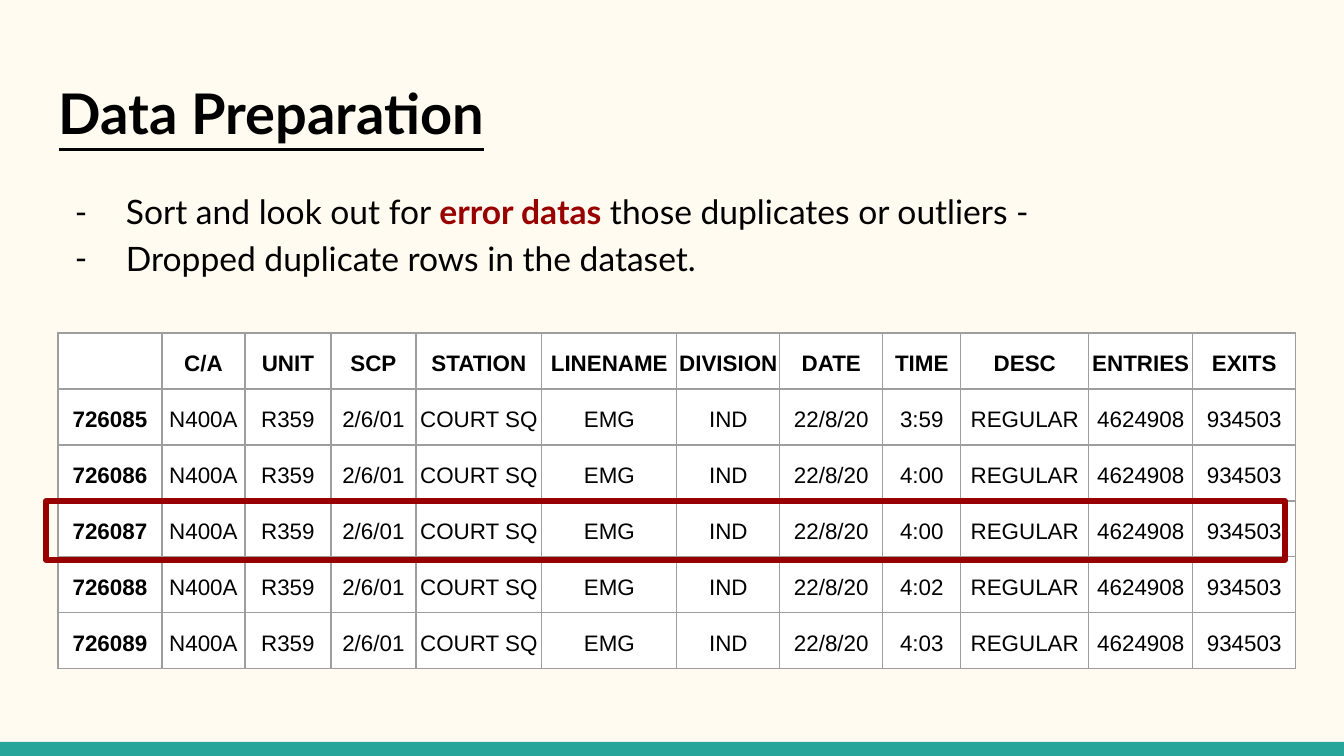
from lxml import etree
from pptx import Presentation
from pptx.dml.color import RGBColor
from pptx.enum.shapes import MSO_SHAPE
from pptx.enum.text import MSO_ANCHOR, PP_ALIGN
from pptx.oxml.ns import qn
from pptx.util import Emu, Pt

RECT = MSO_SHAPE.RECTANGLE
LOW = MSO_ANCHOR.BOTTOM
MID = PP_ALIGN.CENTER

RED = "980000"
BLACK = "000000"
WIDTHS = [104, 83, 86, 85, 126, 135, 103, 103, 78, 128, 104, 103]
ROW = 56
HEAD = ["", "C/A", "UNIT", "SCP", "STATION", "LINENAME", "DIVISION",
        "DATE", "TIME", "DESC", "ENTRIES", "EXITS"]
TIMES = {"726085": "3:59", "726086": "4:00", "726087": "4:00",
         "726088": "4:02", "726089": "4:03"}
MARKED = "726087"


def px(n):
    """Turn px at 134.4 to the inch into EMU."""
    return Emu(round(n * 914400 / 134.4))


def color(code):
    return RGBColor.from_string(code)


def paint(fill, code):
    fill.solid()
    fill.fore_color.rgb = color(code)


def add_run(para, text, code=BLACK, **look):
    run = para.add_run()
    run.text = text
    for name, value in look.items():
        setattr(run.font, name, value)
    run.font.color.rgb = color(code)


def add_text(slide, box):
    frame = slide.shapes.add_textbox(*map(px, box)).text_frame
    frame.word_wrap = True
    for side in ("left", "top", "right", "bottom"):
        setattr(frame, "margin_" + side, px(13))
    return frame


def add_rect(slide, box):
    shape = slide.shapes.add_shape(RECT, *map(px, box))
    shape.shadow.inherit = False
    return shape


def add_band(slide, box):
    band = add_rect(slide, box)
    paint(band.fill, "26A69A")
    band.line.fill.background()


def add_title(slide, box):
    para = add_text(slide, box).paragraphs[0]
    add_run(para, "Data Preparation", name="Lato", size=Pt(30),
            bold=True, underline=True)


def add_list(slide, box):
    frame = add_text(slide, box)
    items = [
        [("Sort and look out for ", BLACK, False),
         ("error datas", RED, True),
         (" those duplicates or outliers -", BLACK, False)],
        [("Dropped duplicate rows in the dataset.", BLACK, False)],
    ]
    for i, item in enumerate(items):
        para = frame.add_paragraph() if i else frame.paragraphs[0]
        para.line_spacing = 1.15
        props = para._p.get_or_add_pPr()
        props.set("marL", str(px(67)))
        props.set("indent", str(px(-51)))
        tint = etree.SubElement(props, qn("a:buClr"))
        etree.SubElement(tint, qn("a:srgbClr"), val=BLACK)
        etree.SubElement(props, qn("a:buFont"), typeface="Lato")
        etree.SubElement(props, qn("a:buChar"), char="-")
        for text, code, bold in item:
            add_run(para, text, code, name="Lato", size=Pt(18), bold=bold)


def set_edges(cell):
    """Draw a thin grey line on all four sides, ahead of the cell's fill."""
    props = cell._tc.get_or_add_tcPr()
    for i, side in enumerate(("lnL", "lnR", "lnT", "lnB")):
        edge = etree.Element(qn("a:" + side), w=str(Pt(0.75)))
        fill = etree.SubElement(edge, qn("a:solidFill"))
        etree.SubElement(fill, qn("a:srgbClr"), val="9E9E9E")
        props.insert(i, edge)


def fill_cell(cell, text, bold):
    look = {"margin_left": px(1), "margin_top": px(1), "margin_right": px(1),
            "margin_bottom": px(13), "vertical_anchor": LOW}
    for name, value in look.items():
        setattr(cell, name, value)
    paint(cell.fill, "FFFFFF")
    set_edges(cell)
    para = cell.text_frame.paragraphs[0]
    para.alignment = MID
    if text[:1].isdigit():
        para.line_spacing = 1.15
    if text:
        add_run(para, text, name="Arial", size=Pt(12), bold=bold)


def add_grid(slide, left, top):
    rows = [HEAD] + [
        [key, "N400A", "R359", "2/6/01", "COURT SQ", "EMG", "IND",
         "22/8/20", time, "REGULAR", "4624908", "934503"]
        for key, time in TIMES.items()]
    box = (left, top, sum(WIDTHS), ROW * len(rows))
    table = slide.shapes.add_table(len(rows), len(HEAD), *map(px, box)).table
    table.first_row = table.horz_banding = False
    for col, width in zip(table.columns, WIDTHS):
        col.width = px(width)
    for r, row in enumerate(rows):
        table.rows[r].height = px(ROW)
        for c, text in enumerate(row):
            fill_cell(table.cell(r, c), text, r == 0 or c == 0)

    mark = 1 + list(TIMES).index(MARKED)
    frame = add_rect(slide, (left - 12, top + mark * ROW, 1239, 59))
    frame.fill.background()
    frame.line.color.rgb = color(RED)
    frame.line.width = Pt(3)


def main():
    deck = Presentation()
    deck.slide_width, deck.slide_height = px(1344), px(756)
    slide = deck.slides.add_slide(deck.slide_layouts[6])
    paint(slide.background.fill, "FFFBF0")
    add_band(slide, (0, 742, 1344, 14))
    add_title(slide, (46, 66, 1253, 90))
    add_list(slide, (46, 172, 1253, 540))
    add_grid(slide, 58, 333)
    deck.save("out.pptx")


if __name__ == "__main__":
    main()
